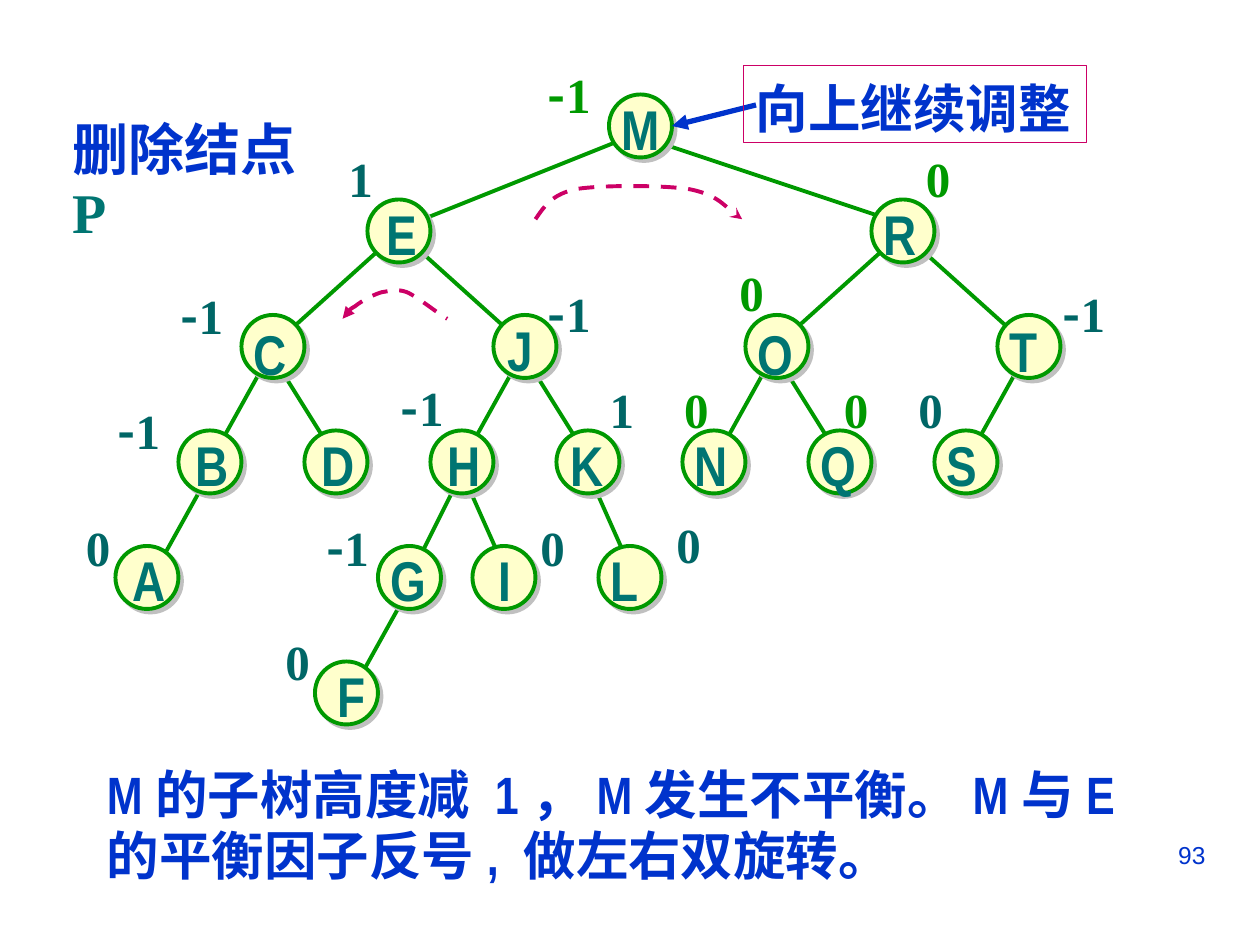
"""Build the slide on rebalancing an AVL tree after a node is deleted."""
from dataclasses import dataclass
from typing import NamedTuple, Optional

from lxml import etree
from pptx import Presentation
from pptx import util as u
from pptx.dml.color import RGBColor
from pptx.enum import dml, shapes, text
from pptx.oxml.ns import qn


@dataclass(frozen=True)
class Theme:
    blue: str = "0033CC"
    teal: str = "007572"
    slate: str = "006666"
    green: str = "009900"
    cream: str = "FFFFCC"
    pink: str = "CC0066"
    grey: str = "C0C0C0"
    serif: str = "Times New Roman"
    narrow: str = "Arial Narrow"
    sans: str = "Arial"
    chinese: str = "Noto Sans CJK SC"
    title_size: int = 32
    body_size: int = 30
    balance_size: int = 28
    number_size: int = 14
    edge_width: float = 2.25
    diameter: int = 36


class Node(NamedTuple):
    name: str
    place: tuple
    letter: tuple
    balance: str
    balance_place: Optional[tuple]
    edge: Optional[tuple]
    changed: bool = False


NODES = [
    Node("A", (66, 312), (68.4, 306), "0", (42, 289.5), (120, 270, 90, 324)),
    Node("B", (102, 246), (104.4, 240), "-1", (60, 223), (150, 210, 120, 264)),
    Node("C", (138, 180), (138, 176.4), "-1", (96, 157), (222, 138, 162, 192)),
    Node("D", (174, 246), (176.4, 240), "", None, (156, 204, 186, 252)),
    Node("E", (210, 114), (213.8, 108), "1", (192, 79), (360, 78, 240, 126)),
    Node("F", (180, 378), (185.8, 372), "0", (156, 355), (234, 336, 204, 390)),
    Node("G", (216, 312), (216, 306), "-1", (179.3, 289.5), (264, 270, 234, 330)),
    Node("H", (246, 246), (248.4, 240), "-1", (222, 210), (294, 210, 264, 264)),
    Node("I", (270, 312), (278, 306), "0", (301.7, 289.5), (264, 270, 288, 324)),
    Node("J", (282, 180), (283, 174.2), "-1", (306, 156), (234, 138, 294, 192)),
    Node("K", (318, 246), (319, 240), "1", (341.3, 211), (300, 204, 330, 252)),
    Node("L", (342, 312), (342, 306), "0", (379.4, 288), (336, 270, 360, 324)),
    Node("M", (348, 54), (348, 48), "-1", (306, 31), None, True),
    Node("N", (390, 246), (390, 240), "0", (383.8, 211), (438, 210, 408, 264), True),
    Node("O", (426, 180), (426, 176.4), "0", (415.4, 144), (510, 138, 450, 192), True),
    Node("Q", (462, 246), (462, 240), "0", (475.2, 211), (444, 204, 474, 252), True),
    Node("R", (498, 114), (498, 108), "0", (522, 79), (366, 78, 510, 126), True),
    Node("S", (534, 246), (534, 240), "0", (517.7, 211), (582, 210, 552, 264)),
    Node("T", (570, 180), (570, 175), "-1", (600, 156), (528, 144, 588, 198)),
]
LETTER_WIDTHS = {"E": 32, "F": 30, "I": 21.6, "J": 28.8, "L": 30, "M": 36.7, "S": 32, "T": 30}
RIGHT_TURN = [(306, 125.3), (311, 118), (315.4, 110.9), (329.8, 108), (344.2, 105.8),
              (377.3, 105.8), (393.1, 108), (409, 110.9), (419, 122.4), (424.1, 125.3)]
LEFT_TURN = [(195.8, 182.2), (197.3, 180), (199.4, 177.1), (203, 175), (206.6, 172.1),
             (213.1, 168.5), (218.2, 167), (223.2, 166.3), (226.8, 164.9), (232.6, 167),
             (239, 169.9), (251.3, 180), (255.6, 182.2)]


def rgb(value):
    return RGBColor.from_string(value)


class Painter:
    """Draws styled elements on the current page."""

    def __init__(self, page, theme):
        self.page = page
        self.theme = theme

    def fill_text(self, box, spans, font, size, color, bold=True, wrap=False,
                  align=text.PP_ALIGN.LEFT, spacing=None, top=6):
        frame = box.text_frame
        frame.word_wrap = wrap
        frame.auto_size = text.MSO_AUTO_SIZE.NONE
        frame.vertical_anchor = text.MSO_ANCHOR.TOP
        frame.margin_left = frame.margin_right = u.Pt(7.2)
        frame.margin_top, frame.margin_bottom = u.Pt(top), u.Pt(0)
        para = frame.paragraphs[0]
        para.alignment = align
        if spacing:
            para.line_spacing = u.Pt(spacing)
        para.font.name, para.font.size, para.font.bold = font, u.Pt(size), bold
        para.font.color.rgb = rgb(color)
        defaults = para._p.pPr.find(qn("a:defRPr"))
        etree.SubElement(defaults, qn("a:ea"), typeface=self.theme.chinese)
        for words in spans:
            para.add_run().text = words
        return para.runs

    def title(self, spans, place, **style):
        box = self.page.shapes.title
        box.left, box.top, box.width, box.height = map(u.Pt, place)
        return self.fill_text(box, spans, **style)

    def label(self, spans, place, **style):
        box = self.page.shapes.add_textbox(*map(u.Pt, place))
        return self.fill_text(box, spans, **style)

    def callout(self, words, place, **style):
        box = self.page.shapes.add_shape(shapes.MSO_SHAPE.RECTANGLE, *map(u.Pt, place))
        box.shadow.inherit = False
        box.fill.background()
        self.stroke(box, self.theme.pink, 0.75)
        self.fill_text(box, [words], **style)

    def circle(self, left, top):
        side = self.theme.diameter
        shape = self.page.shapes.add_shape(
            shapes.MSO_SHAPE.OVAL, *map(u.Pt, (left, top, side, side)))
        shape.fill.solid()
        shape.fill.fore_color.rgb = rgb(self.theme.cream)
        self.stroke(shape, self.theme.green, self.theme.edge_width)
        shape.shadow.inherit = False
        effects = shape._element.spPr.find(qn("a:effectLst"))
        shadow = etree.SubElement(effects, qn("a:outerShdw"), dist=str(u.Pt(2.8)),
                                  dir="2700000", algn="ctr", rotWithShape="0")
        etree.SubElement(shadow, qn("a:srgbClr"), val=self.theme.grey)

    def line(self, ends, color, width, **arrows):
        line = self.page.shapes.add_connector(shapes.MSO_CONNECTOR.STRAIGHT, *map(u.Pt, ends))
        self.stroke(line, color, width, **arrows)
        etree.SubElement(line._element.spPr, qn("a:effectLst"))

    def curve(self, points, **arrows):
        start, *rest = [tuple(map(u.Pt, point)) for point in points]
        builder = self.page.shapes.build_freeform(*start, scale=1.0)
        builder.add_line_segments(rest, close=False)
        shape = builder.convert_to_shape()
        steps = list(shape._element.iter(qn("a:lnTo")))
        for index in range(0, len(steps), 3):
            bend = etree.Element(qn("a:cubicBezTo"))
            steps[index].addprevious(bend)
            for step in steps[index:index + 3]:
                bend.append(step[0])
                step.getparent().remove(step)
        shape.shadow.inherit = False
        shape.fill.background()
        self.stroke(shape, self.theme.pink, self.theme.edge_width, dashed=True, **arrows)

    def stroke(self, shape, color, width, dashed=False, **arrows):
        shape.line.color.rgb = rgb(color)
        shape.line.width = u.Pt(width)
        if dashed:
            shape.line.dash_style = dml.MSO_LINE.DASH
        outline = shape._element.spPr.find(qn("a:ln"))
        for end, kind in arrows.items():
            etree.SubElement(outline, qn(f"a:{end}End"), type=kind)

    def balance(self, node):
        theme = self.theme
        width = 42.5 if len(node.balance) > 1 else 28.8
        spans = self.label(list(node.balance), (*node.balance_place, width, 41), font=theme.serif,
                           size=theme.balance_size, color=theme.green if node.changed else theme.slate)
        if len(spans) > 1:
            spans[0].font.name = theme.chinese

    def tree(self, nodes):
        theme = self.theme
        for node in nodes:
            if node.edge:
                self.line(node.edge, theme.green, theme.edge_width)
        for node in nodes:
            self.circle(*node.place)
        for node in nodes:
            self.label([node.name], (*node.letter, LETTER_WIDTHS.get(node.name, 34), 45),
                       font=theme.narrow, size=theme.title_size, color=theme.teal)
            if node.balance:
                self.balance(node)


def main():
    theme = Theme()
    deck = Presentation()
    deck.slide_width, deck.slide_height = u.Pt(720), u.Pt(540)
    painter = Painter(deck.slides.add_slide(deck.slide_layouts[5]), theme)
    spans = painter.title(["删除结点", "P"], (34, 60, 158, 45), font=theme.serif, wrap=True,
                          size=theme.title_size, color=theme.blue, spacing=36, top=8)
    spans[1].font.color.rgb = rgb(theme.teal)
    painter.label(["93"], (516, 474, 180, 37), font=theme.sans, size=theme.number_size,
                  color=theme.blue, bold=False, align=text.PP_ALIGN.RIGHT)
    painter.label(["M的子树高度减 1，M发生不平衡。M与E的平衡因子反号, 做左右双旋转。"],
                  (54, 428.4, 625, 79), font=theme.narrow, size=theme.body_size,
                  color=theme.blue, wrap=True, spacing=35, top=8)
    painter.tree(NODES)
    painter.line((432, 60, 384, 72), theme.blue, 3, tail="triangle")
    painter.callout("向上继续调整", (424.8, 37.4, 196, 44), font=theme.serif,
                    size=theme.body_size, color=theme.blue, spacing=36)
    painter.curve(RIGHT_TURN, tail="stealth")
    painter.curve(LEFT_TURN, head="triangle")
    deck.save("out.pptx")


if __name__ == "__main__":
    main()
